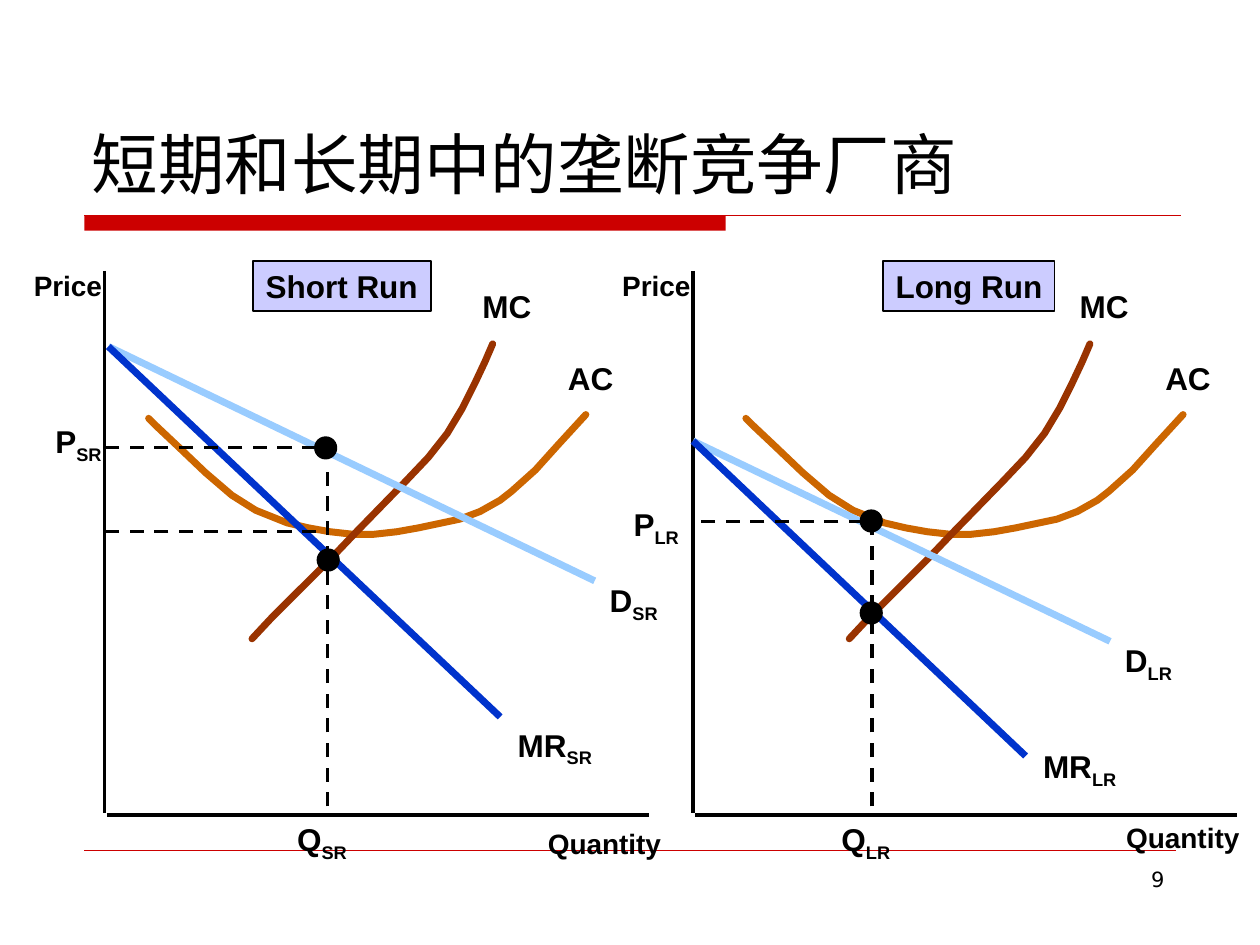
from dataclasses import dataclass

from lxml import etree
from pptx import Presentation
from pptx import util as u
from pptx.dml.color import RGBColor
from pptx.enum import dml, shapes, text
from pptx.oxml import ns

Inches = u.Inches


@dataclass(frozen=True)
class Theme:
    ink: str = "000000"
    accent: str = "CC0000"
    tag: str = "CCCCFF"
    average_cost: str = "CC6600"
    marginal_cost: str = "993300"
    demand: str = "99CCFF"
    revenue: str = "0033CC"
    heading_font: str = "DejaVu Sans"
    label_font: str = "Arial"
    heading_size: int = 38
    label_size: int = 18
    axis_size: int = 16
    page_size: int = 12
    curve_width: int = 4
    axis_width: int = 2


THEME = Theme()

# Cost curves, in inches from the corner of a panel
AVERAGE_COST = [
    (0.35, 1.32), (0.41, 1.38), (0.58, 1.54), (0.8, 1.75), (1.01, 1.93),
    (1.2, 2.05), (1.45, 2.15), (1.62, 2.19), (1.79, 2.22), (1.97, 2.24),
    (2.14, 2.24), (2.32, 2.22), (2.49, 2.19), (2.82, 2.12), (2.98, 2.06),
    (3.14, 1.97), (3.23, 1.9), (3.42, 1.73), (3.6, 1.53), (3.82, 1.29)]
MARGINAL_COST = [
    (1.17, 3.07), (1.32, 2.91), (1.54, 2.69), (1.78, 2.45), (2, 2.22),
    (2.39, 1.82), (2.57, 1.63), (2.72, 1.44), (2.84, 1.24), (2.94, 1.04),
    (3.02, 0.87), (3.08, 0.73)]

SHORT_RUN = dict(
    heading="Short Run", heading_box=(1.18, 0.07, 1.41, 0.4), period="SR",
    cost_shift=0, intercept=(0.03, 0.75), demand_end=(3.89, 2.61),
    revenue_end=(3.14, 3.69), revenue_label=(3.18, 3.71),
    output=1.77, guide_top=1.71, guide_right=1.68, price_levels=(1.55, 2.22),
    price_label=(-0.49, 1.3), dots=[(1.67, 1.47), (1.69, 2.36)],
    quantity_label=(3.42, 4.51))
LONG_RUN = dict(
    heading="Long Run", heading_box=(1.51, 0.07, 1.36, 0.4), period="LR",
    cost_shift=0.07, intercept=(0, 1.5), demand_end=(3.31, 3.09),
    revenue_end=(2.64, 4), revenue_label=(2.68, 3.88),
    output=1.42, guide_top=2.12, guide_right=1.35, price_levels=(2.14,),
    price_label=(-0.57, 1.96), dots=[(1.33, 2.78), (1.33, 2.05)],
    quantity_label=(3.34, 4.46))


def rgb(value):
    return RGBColor.from_string(value)


def style_line(line, color, width, dashed=False):
    line.color.rgb = rgb(color)
    line.width = u.Pt(width)
    if dashed:
        line.dash_style = dml.MSO_LINE.DASH


def style_shape(shape, fill, line_width=1, line_color=THEME.ink):
    shape.shadow.inherit = False
    shape.fill.solid()
    shape.fill.fore_color.rgb = rgb(fill)
    style_line(shape.line, line_color, line_width)


def write(shape, content, size, font, bold=False, sub="", **frame_format):
    frame = shape.text_frame
    for name, value in frame_format.items():
        setattr(frame, name, value)
    paragraph = frame.paragraphs[0]
    paragraph.alignment = text.PP_ALIGN.LEFT
    for part in filter(None, (content, sub)):
        run = paragraph.add_run()
        run.text = part
        for name, value in dict(size=u.Pt(size), name=font, bold=bold).items():
            setattr(run.font, name, value)
        run.font.color.rgb = rgb(THEME.ink)
        if part == sub:
            run._r.get_or_add_rPr().set("baseline", "-25000")
    return paragraph


class Region:
    """Places parts in inches relative to a corner of the slide."""

    def __init__(self, slide, left, top):
        self.shapes, self.left, self.top = slide.shapes, left, top

    def at(self, x, y):
        return Inches(self.left + x), Inches(self.top + y)

    def box(self, x, y, width, height):
        return *self.at(x, y), Inches(width), Inches(height)

    def line(self, start, end, color=THEME.ink, width=THEME.axis_width, dashed=False):
        connector = self.shapes.add_connector(
            shapes.MSO_CONNECTOR.STRAIGHT, *self.at(*start), *self.at(*end))
        style_line(connector.line, color, width, dashed)
        etree.SubElement(connector._element.spPr, ns.qn("a:effectLst"))

    def curve(self, points, color):
        first, *rest = [self.at(*point) for point in points]
        builder = self.shapes.build_freeform(*first)
        builder.add_line_segments(rest, close=False)
        curve = builder.convert_to_shape()
        curve.shadow.inherit = False
        curve.fill.background()
        style_line(curve.line, color, THEME.curve_width)
        curve.line._get_or_add_ln().set("cap", "rnd")

    def label(self, content, x, y, width, height=0.4, sub="", size=THEME.label_size):
        write(self.shapes.add_textbox(*self.box(x, y, width, height)), content, size,
              THEME.label_font, True, sub, word_wrap=False,
              auto_size=text.MSO_AUTO_SIZE.SHAPE_TO_FIT_TEXT)


def draw_frame(slide, left, top, width):
    region = Region(slide, left, top)
    # Title
    title = slide.shapes.add_textbox(*region.box(-0.04, -1.38, 8.75, 1.33))
    write(title, "短期和长期中的垄断竞争厂商", THEME.heading_size, THEME.heading_font,
          word_wrap=True, vertical_anchor=text.MSO_ANCHOR.BOTTOM)
    # Rules
    bar = slide.shapes.add_shape(
        shapes.MSO_SHAPE.RECTANGLE, *region.box(0, 0, 5.09, 0.12))
    style_shape(bar, THEME.accent)
    bar.line.fill.background()
    region.line((0, 0), (width, 0), THEME.accent, 1)
    region.line((0, 5.04), (width - 0.04, 5.04), THEME.accent, 0.25)
    # Page number
    page = slide.shapes.add_textbox(*region.box(6.5, 5.12, 2.17, 0.52))
    number = write(page, "9", THEME.page_size, THEME.heading_font, word_wrap=True)
    number.alignment = text.PP_ALIGN.RIGHT


def draw_panel(slide, left, top, run):
    region = Region(slide, left, top)
    period, shift = run["period"], run["cost_shift"]
    # Axes
    region.line((0, 0.15), (0, 4.45))
    region.line((0.02, 4.47), (4.32, 4.47))
    region.label("Price", -0.66, 0.08, 0.74, 0.36, size=THEME.axis_size)
    region.label("Quantity", *run["quantity_label"], 1.1, 0.36, size=THEME.axis_size)
    # Cost curves
    for points, color in ((AVERAGE_COST, THEME.average_cost),
                          (MARGINAL_COST, THEME.marginal_cost)):
        region.curve([(x + shift, y) for x, y in points], color)
    region.label("MC", 2.9 + shift, 0.23, 0.59)
    region.label("AC", 3.58 + shift, 0.8, 0.56)
    # Demand and marginal revenue
    demand_x, demand_y = run["demand_end"]
    for end, color in ((run["demand_end"], THEME.demand),
                       (run["revenue_end"], THEME.revenue)):
        region.line(run["intercept"], end, color, THEME.curve_width)
    region.label("D", demand_x + 0.02, demand_y - 0.05, 0.6, 0.44, period)
    region.label("MR", *run["revenue_label"], 0.81, 0.44, period)
    # Equilibrium guides
    region.line((run["output"], 4.4), (run["output"], run["guide_top"]), dashed=True)
    for x, y in run["dots"]:
        dot = slide.shapes.add_shape(
            shapes.MSO_SHAPE.OVAL, *region.box(x, y, 0.17, 0.17))
        style_shape(dot, THEME.ink)
    for level in run["price_levels"]:
        region.line((run["guide_right"], level), (-0.01, level), dashed=True)
    region.label("Q", run["output"] - 0.34, 4.46, 0.64, 0.44, period)
    region.label("P", *run["price_label"], 0.59, 0.44, period)
    # Heading tag
    tag = slide.shapes.add_shape(
        shapes.MSO_SHAPE.RECTANGLE, *region.box(*run["heading_box"]))
    style_shape(tag, THEME.tag)
    write(tag, run["heading"], THEME.label_size, THEME.label_font, True, word_wrap=False)


def main():
    deck = Presentation()
    deck.slide_width, deck.slide_height = Inches(10), Inches(7.5)
    slide = deck.slides.add_slide(deck.slide_layouts[6])
    draw_frame(slide, 0.67, 1.71, 8.7)
    for left, run in ((0.83, SHORT_RUN), (5.5, LONG_RUN)):
        draw_panel(slide, left, 2, run)
    deck.save("out.pptx")


if __name__ == "__main__":
    main()
